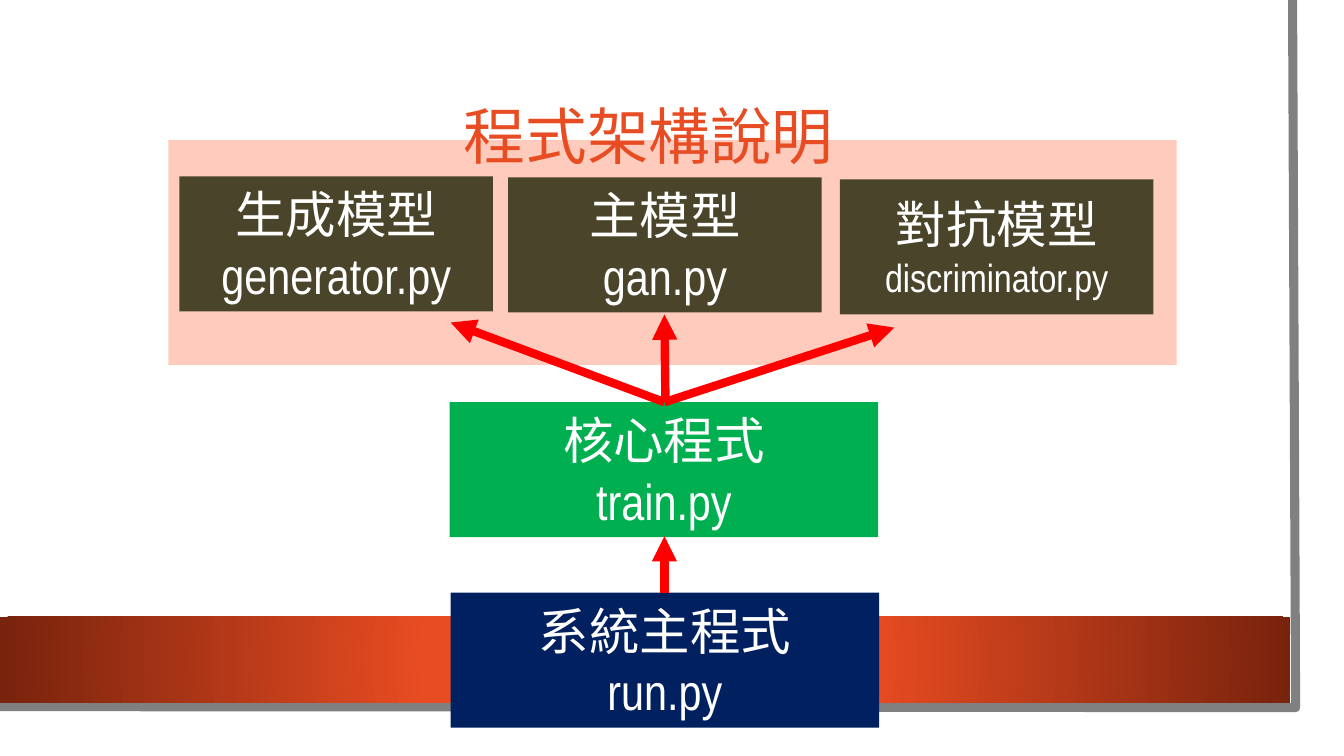
from dataclasses import dataclass

from lxml import etree
from pptx import Presentation
from pptx.dml.color import RGBColor
from pptx.enum.shapes import MSO_CONNECTOR, MSO_SHAPE
from pptx.enum.text import MSO_ANCHOR, MSO_AUTO_SIZE, PP_ALIGN
from pptx.oxml import parse_xml
from pptx.oxml.ns import qn
from pptx.util import Inches, Pt

RECTANGLE = MSO_SHAPE.RECTANGLE
STRAIGHT = MSO_CONNECTOR.STRAIGHT
MIDDLE = MSO_ANCHOR.MIDDLE
CENTER = PP_ALIGN.CENTER
NO_AUTOFIT = MSO_AUTO_SIZE.NONE
TITLE_ONLY = 5


@dataclass(frozen=True)
class Theme:
    font: str = "Arial Narrow"
    accent: str = "E84C22"
    accent_dark: str = "78230D"
    edge: str = "808080"
    panel: str = "FFCBBD"
    model: str = "4A452A"
    core: str = "00B050"
    entry: str = "002060"
    arrow: str = "FF0000"
    white: str = "FFFFFF"
    title_size: int = 44
    label_size: int = 36
    small_size: int = 28
    edge_width: float = 6.5
    arrow_width: float = 6


THEME = Theme()
BOX_HEIGHT = 1.34
MODEL_WIDTH = 3.11
PROGRAM_WIDTH = 4.25

# Left, top, width, colour, label, file name, file name size
BOXES = [
    (4.47, 5.88, PROGRAM_WIDTH, THEME.entry, "系統主程式", "run.py", THEME.label_size),
    (4.46, 3.99, PROGRAM_WIDTH, THEME.core, "核心程式", "train.py", THEME.label_size),
    (5.04, 1.76, MODEL_WIDTH, THEME.model, "主模型", "gan.py", THEME.label_size),
    (8.33, 1.78, MODEL_WIDTH, THEME.model, "對抗模型", "discriminator.py", THEME.small_size),
    (1.78, 1.75, MODEL_WIDTH, THEME.model, "生成模型", "generator.py", THEME.label_size),
]

# Start and end points
ARROWS = [
    ((6.59, 5.88), (6.59, 5.32)),
    ((6.59, 3.99), (4.47, 3.2)),
    ((6.6, 3.99), (6.59, 3.12)),
    ((6.59, 3.99), (8.87, 3.25)),
]


def add_block(page, left, top, width, height, colour):
    block = page.shapes.add_shape(
        RECTANGLE, Inches(left), Inches(top), Inches(width), Inches(height))
    block.shadow.inherit = False
    block.fill.solid()
    block.fill.fore_color.rgb = RGBColor.from_string(colour)
    block.line.fill.background()
    return block


def add_span(para, text, size, colour):
    para.alignment = CENTER
    span = para.add_run()
    span.text = text
    span.font.name = THEME.font
    span.font.size = Pt(size)
    span.font.color.rgb = RGBColor.from_string(colour)


def add_program(page, left, top, width, colour, label, file_name, file_size):
    box = add_block(page, left, top, width, BOX_HEIGHT, colour)
    frame = box.text_frame
    frame.word_wrap = True
    frame.vertical_anchor = MIDDLE
    add_span(frame.paragraphs[0], label, THEME.label_size, THEME.white)
    add_span(frame.add_paragraph(), file_name, file_size, THEME.white)


def add_arrow(page, start, end):
    arrow = page.shapes.add_connector(
        STRAIGHT, *(Inches(value) for value in start + end))
    arrow.line.color.rgb = RGBColor.from_string(THEME.arrow)
    arrow.line.width = Pt(THEME.arrow_width)
    etree.SubElement(arrow.line._get_or_add_ln(), qn("a:tailEnd"), type="triangle")
    etree.SubElement(arrow.element.spPr, qn("a:effectLst"))


def add_page_edge(page):
    builder = page.shapes.build_freeform(Inches(12.82), Inches(0))
    builder.add_line_segments(
        [(Inches(12.85), Inches(7.02)), (Inches(-0.03), Inches(7.01))], close=False)
    edge = builder.convert_to_shape()
    edge.shadow.inherit = False
    edge.fill.background()
    edge.line.color.rgb = RGBColor.from_string(THEME.edge)
    edge.line.width = Pt(THEME.edge_width)


def add_footer_band(page):
    band = add_block(page, 0, 6.12, 12.8, 0.85, THEME.accent)
    # Radial gradient from the centre
    gradient = parse_xml(
        '<a:gradFill xmlns:a="http://schemas.openxmlformats.org/drawingml/2006/main">'
        f'<a:gsLst><a:gs pos="34000"><a:srgbClr val="{THEME.accent}"/></a:gs>'
        f'<a:gs pos="100000"><a:srgbClr val="{THEME.accent_dark}"/></a:gs></a:gsLst>'
        '<a:path path="circle">'
        '<a:fillToRect l="50000" t="50000" r="50000" b="50000"/></a:path></a:gradFill>')
    properties = band.element.spPr
    properties.replace(properties.find(qn("a:solidFill")), gradient)


def set_title(page, text):
    title = page.shapes.title
    title.left, title.top = Inches(0.75), Inches(0.75)
    title.width, title.height = Inches(11.37), Inches(1.26)
    frame = title.text_frame
    frame.word_wrap = True
    frame.auto_size = NO_AUTOFIT
    frame.vertical_anchor = MIDDLE
    para = frame.paragraphs[0]
    para.line_spacing = 0.9
    add_span(para, text, THEME.title_size, THEME.accent)
    # Bring the title in front of the panel
    title.element.getparent().append(title.element)


def main():
    deck = Presentation()
    deck.slide_width, deck.slide_height = Inches(13.33), Inches(7.5)
    page = deck.slides.add_slide(deck.slide_layouts[TITLE_ONLY])

    # Page frame
    add_page_edge(page)
    add_footer_band(page)

    # Model panel and title
    add_block(page, 1.67, 1.39, 10, 2.23, THEME.panel)
    set_title(page, "程式架構說明")

    # Programs and their calls
    for box in BOXES:
        add_program(page, *box)
    for start, end in ARROWS:
        add_arrow(page, start, end)

    deck.save("out.pptx")


if __name__ == "__main__":
    main()
